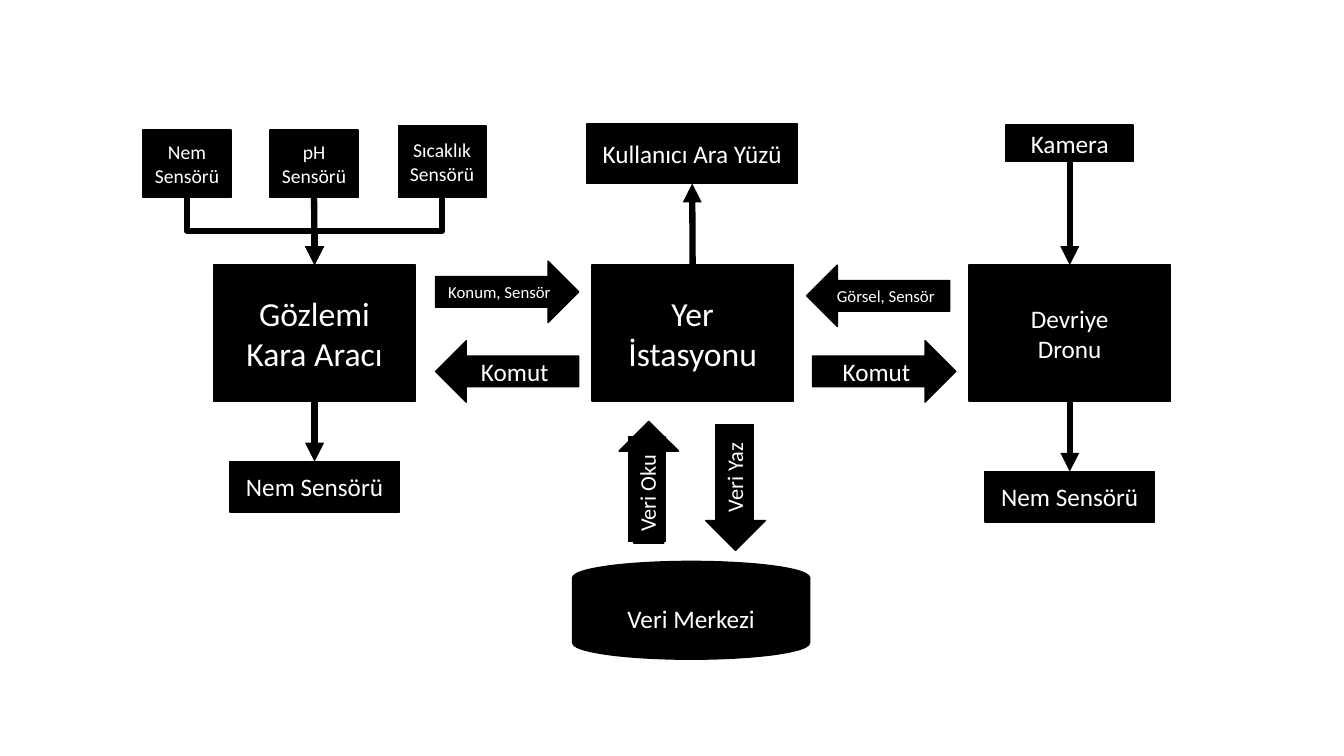
from pptx import Presentation
from pptx.dml.color import RGBColor
from pptx.enum.shapes import MSO_CONNECTOR, MSO_SHAPE
from pptx.enum.text import MSO_ANCHOR, PP_ALIGN
from pptx.oxml import parse_xml
from pptx.oxml.ns import nsdecls, qn
from pptx.util import Inches, Pt

BLACK = RGBColor.from_string("000000")
WHITE = RGBColor.from_string("FFFFFF")
TOP, BOTTOM = 0, 2

deck = Presentation()
deck.slide_width, deck.slide_height = Inches(13.33), Inches(7.5)
page = deck.slides.add_slide(deck.slide_layouts[6])


def add_block(kind, left, top, width, height, lines=(), size=18):
    """Add a black shape with one centred white paragraph per line."""
    block = page.shapes.add_shape(
        kind, Inches(left), Inches(top), Inches(width), Inches(height))
    block.shadow.inherit = False
    block.fill.solid()
    block.fill.fore_color.rgb = BLACK
    block.line.color.rgb = BLACK
    block.line.width = Pt(1)
    frame = block.text_frame
    frame.word_wrap = True
    frame.vertical_anchor = MSO_ANCHOR.MIDDLE
    for index, line in enumerate(lines):
        para = frame.paragraphs[0] if index == 0 else frame.add_paragraph()
        para.alignment = PP_ALIGN.CENTER
        span = para.add_run()
        span.text = line
        span.font.name = "Calibri"
        span.font.size = Pt(size)
        span.font.color.rgb = WHITE
    return block


def style_connector(connector):
    """Make a connector a thick black line with an arrowhead and no shadow."""
    connector.line.color.rgb = BLACK
    connector.line.width = Pt(4.5)
    connector.line._get_or_add_ln().append(
        parse_xml(f'<a:tailEnd {nsdecls("a")} type="triangle"/>'))
    connector._element.spPr.append(
        parse_xml(f'<a:effectLst {nsdecls("a")}/>'))


# Main units and the boxes around them
RECT = MSO_SHAPE.RECTANGLE
station = add_block(RECT, 5.87, 2.63, 2, 1.35, ["Yer", "İstasyonu"], 24)
rover = add_block(RECT, 2.12, 2.63, 2, 1.35, ["Gözlemi", "Kara Aracı"], 24)
drone = add_block(RECT, 9.61, 2.63, 2, 1.35, ["Devriye", "Dronu"])
rover_sensor = add_block(RECT, 2.28, 4.58, 1.68, 0.5, ["Nem Sensörü"])
drone_sensor = add_block(RECT, 9.77, 4.68, 1.68, 0.5, ["Nem Sensörü"])
camera = add_block(RECT, 9.98, 1.24, 1.26, 0.36, ["Kamera"])
interface = add_block(RECT, 5.82, 1.23, 2.09, 0.59, ["Kullanıcı Ara Yüzü"])
moisture = add_block(RECT, 1.42, 1.29, 0.87, 0.67, ["Nem Sensörü"], 14)
acidity = add_block(RECT, 2.68, 1.29, 0.87, 0.67, ["pH Sensörü"], 14)
heat = add_block(RECT, 3.95, 1.25, 0.87, 0.71, ["Sıcaklık Sensörü"], 14)

# Outer sensors bend down into the rover: elbows turned by 90 degrees
end_x, end_y = rover.left + rover.width // 2, rover.top
for sensor in (moisture, heat):
    start_x, start_y = sensor.left + sensor.width // 2, sensor.top + sensor.height
    middle_x, middle_y = (start_x + end_x) // 2, (start_y + end_y) // 2
    half_run, half_drop = (end_x - start_x) // 2, (end_y - start_y) // 2
    elbow = page.shapes.add_connector(
        MSO_CONNECTOR.ELBOW,
        middle_x - half_drop, middle_y + half_run,
        middle_x + half_drop, middle_y - half_run)
    elbow._element.spPr.find(qn("a:xfrm")).set("rot", str(90 * 60000))
    style_connector(elbow)

# Straight arrows
for source, source_side, target, target_side in [
    (acidity, BOTTOM, rover, TOP),
    (station, TOP, interface, BOTTOM),
    (camera, BOTTOM, drone, TOP),
    (drone, BOTTOM, drone_sensor, TOP),
    (rover, BOTTOM, rover_sensor, TOP),
]:
    arrow = page.shapes.add_connector(MSO_CONNECTOR.STRAIGHT, 0, 0, 0, 0)
    arrow.begin_connect(source, source_side)
    arrow.end_connect(target, target_side)
    style_connector(arrow)

# Messages between the units
for kind, left, top, message, size in [
    (MSO_SHAPE.RIGHT_ARROW, 4.32, 2.59, "Konum, Sensör", 12),
    (MSO_SHAPE.LEFT_ARROW, 4.32, 3.38, "Komut", 18),
    (MSO_SHAPE.LEFT_ARROW, 8, 2.63, "Görsel, Sensör", 12),
    (MSO_SHAPE.RIGHT_ARROW, 8.06, 3.38, "Komut", 18),
]:
    add_block(kind, left, top, 1.42, 0.61, [message], size)

# Data centre with its read and write arrows
add_block(MSO_SHAPE.FLOWCHART_MAGNETIC_DISK, 5.68, 5.57, 2.35, 0.97, ["Veri Merkezi"])
for kind, left, top, label, label_left, label_top, label_width in [
    (MSO_SHAPE.UP_ARROW, 6.14, 4.18, "Veri Oku", 5.9, 4.67, 1.04),
    (MSO_SHAPE.DOWN_ARROW, 7, 4.25, "Veri Yaz", 6.8, 4.51, 0.97),
]:
    add_block(kind, left, top, 0.59, 1.21)
    tag = add_block(RECT, label_left, label_top, label_width, 0.37, [label], 16)
    tag.rotation = 270
    tag.line.width = Pt(0.75)
    tag.text_frame.vertical_anchor = MSO_ANCHOR.TOP
    tag.text_frame.paragraphs[0].alignment = PP_ALIGN.LEFT

deck.save("out.pptx")
